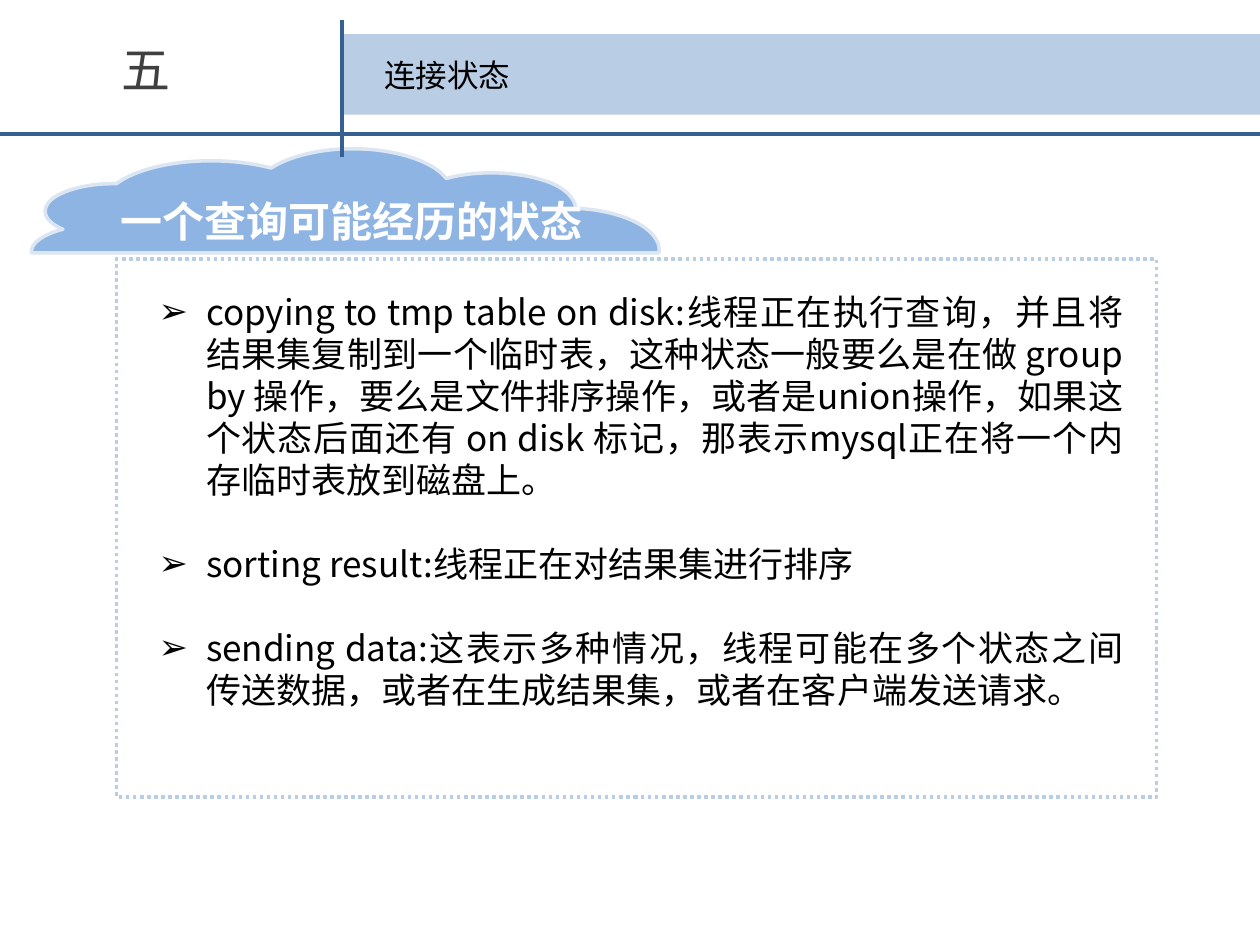
import pptx
import pptx.util
import pptx.dml.color
import pptx.enum.dml
import pptx.enum.shapes
import pptx.enum.text
import pptx.oxml
import pptx.oxml.ns

Pt = pptx.util.Pt
PP_ALIGN = pptx.enum.text.PP_ALIGN
ANCHOR = pptx.enum.text.MSO_ANCHOR
RECTANGLE = pptx.enum.shapes.MSO_SHAPE.RECTANGLE
CJK = "Noto Sans CJK SC"

STATES = [
    "copying to tmp table on disk:线程正在执行查询，并且将结果集复制到一个临时表，这种状态一般要么是在做 group by 操作，要么是文件排序操作，或者是union操作，如果这个状态后面还有 on disk 标记，那表示mysql正在将一个内存临时表放到磁盘上。",
    "sorting result:线程正在对结果集进行排序",
    "sending data:这表示多种情况，线程可能在多个状态之间传送数据，或者在生成结果集，或者在客户端发送请求。",
]

CLOUD_START = (179, 0)
CLOUD_SEGMENTS = [
    [(185, 0), (191, 0), (197, 0.7)],
    [(216, 3), (231, 9), (237, 17)],
    [(255, 12), (278, 13), (294, 18.5)],
    [(304.5, 22), (310.5, 28), (311, 34)],
    [(333.5, 35), (352, 42.5), (357, 52)],
    [(358.5, 54), (359, 57), (358.5, 59.5)],
    [(0, 59.5)],
    [(-0.7, 54), (6.5, 49), (18, 46)],
    [(8.5, 42), (5.5, 36.5), (9.5, 31)],
    [(14.5, 24.5), (31, 19.5), (48.5, 20)],
    [(66, 7), (106, 3), (137, 11)],
    [(147, 4.5), (163, 0.7), (179, 0)],
]


def colour(value):
    return pptx.dml.color.RGBColor.from_string(value)


def add_xml(parent, tag, **attributes):
    element = pptx.oxml.parse_xml(f"<{tag} {pptx.oxml.ns.nsdecls('a')}/>")
    for name, value in attributes.items():
        element.set(name, value)
    parent.append(element)


def place(shape, left, top, width, height):
    shape.left, shape.top = Pt(left), Pt(top)
    shape.width, shape.height = Pt(width), Pt(height)


def format_runs(paragraph, size, fill, font=CJK, bold=False):
    for run in paragraph.runs:
        run.font.size = Pt(size)
        run.font.bold = bold
        run.font.name = font
        run.font.color.rgb = colour(fill)
        add_xml(run.font._element, "a:ea", typeface=CJK)


def write_label(shape, text, size, fill, align, wrap=False, **style):
    frame = shape.text_frame
    frame.text = text
    frame.word_wrap = wrap
    frame.auto_size = pptx.enum.text.MSO_AUTO_SIZE.NONE
    frame.vertical_anchor = ANCHOR.TOP
    frame.paragraphs[0].alignment = align
    format_runs(frame.paragraphs[0], size, fill, **style)
    return frame.paragraphs[0]


def add_rule(slide, x1, y1, x2, y2):
    rule = slide.shapes.add_connector(
        pptx.enum.shapes.MSO_CONNECTOR.STRAIGHT, Pt(x1), Pt(y1), Pt(x2), Pt(y2))
    rule.line.color.rgb = colour("376092")
    rule.line.width = Pt(2.25)
    add_xml(rule._element.spPr, "a:effectLst")


def bend_segments(freeform, segments):
    lines = freeform._element.findall(".//" + pptx.oxml.ns.qn("a:lnTo"))
    for line, points in zip(lines, segments):
        if len(points) == 3:
            curve = pptx.oxml.parse_xml(f"<a:cubicBezTo {pptx.oxml.ns.nsdecls('a')}/>")
            for x, y in points:
                add_xml(curve, "a:pt", x=str(Pt(x)), y=str(Pt(y)))
            line.getparent().replace(line, curve)


def add_cloud(slide, left, top):
    builder = slide.shapes.build_freeform(
        Pt(left + CLOUD_START[0]), Pt(top + CLOUD_START[1]))
    builder.add_line_segments(
        [(Pt(left + x), Pt(top + y)) for *_, (x, y) in CLOUD_SEGMENTS], close=True)
    cloud = builder.convert_to_shape()
    bend_segments(cloud, CLOUD_SEGMENTS)
    cloud.shadow.inherit = False
    cloud.fill.solid()
    cloud.fill.fore_color.rgb = colour("8EB4E3")
    cloud.line.color.rgb = colour("DCE6F2")
    cloud.line.width = Pt(2)


def add_cloud_caption(slide, left, top, width, height):
    caption = slide.shapes.add_textbox(Pt(left), Pt(top), Pt(width), Pt(height))
    paragraph = write_label(caption, "一个查询可能经历的状态", 24, "FFFFFF",
                            PP_ALIGN.CENTER, wrap=True, font="TeX Gyre Adventor", bold=True)
    paragraph.line_spacing = 0.8


def add_header(slide, left, top, width, height):
    divider = left + 195.6
    band = slide.shapes.add_shape(
        RECTANGLE, Pt(divider), Pt(top + 8.2), Pt(left + width - divider), Pt(46))
    band.shadow.inherit = False
    band.fill.solid()
    band.fill.fore_color.rgb = colour("B9CDE5")
    band.line.fill.background()

    number = slide.shapes.add_textbox(Pt(left + 62.3), Pt(top + 7.5), Pt(42.5), Pt(41))
    write_label(number, "五", 28, "404040", PP_ALIGN.LEFT)
    add_rule(slide, divider, top, divider, top + height)
    add_rule(slide, left, top + 65.5, left + width, top + 65.5)

    title = slide.shapes.title
    place(title, left + 212.5, top + 17, 87, 29)
    write_label(title, "连接状态", 18, "000000", PP_ALIGN.LEFT)
    slide.shapes._spTree.append(title._element)


def add_states(slide, left, top, width, height):
    frame_box = slide.shapes.add_shape(RECTANGLE, Pt(left), Pt(top), Pt(width), Pt(height))
    frame_box.shadow.inherit = False
    frame_box.fill.background()
    frame_box.line.color.rgb = colour("B9CDE5")
    frame_box.line.width = Pt(2)
    frame_box.line.dash_style = pptx.enum.dml.MSO_LINE.ROUND_DOT

    body = slide.placeholders[1]
    place(body, left + 16.9, top + 14.5, width - 28.9, height - 14.5)
    slide.shapes._spTree.append(body._element)
    frame = body.text_frame
    frame.text = "\n".join(STATES)
    frame.word_wrap = True
    frame.auto_size = pptx.enum.text.MSO_AUTO_SIZE.NONE
    for index, paragraph in enumerate(frame.paragraphs):
        properties = paragraph._p.get_or_add_pPr()
        properties.set("marL", str(Pt(27)))
        properties.set("indent", str(-Pt(27)))
        add_xml(properties, "a:buFont", typeface="Arial")
        add_xml(properties, "a:buChar", char="➢")
        paragraph.alignment = PP_ALIGN.JUSTIFY
        paragraph.line_spacing = Pt(24)
        paragraph.space_before = Pt(24 if index else 0)
        format_runs(paragraph, 20, "000000")


def main():
    deck = pptx.Presentation()
    deck.slide_width, deck.slide_height = Pt(720), Pt(540)
    slide = deck.slides.add_slide(deck.slide_layouts[1])
    add_cloud(slide, 18, 85)
    add_header(slide, 0, 11.3, 720, 78.5)
    add_states(slide, 66.6, 148, 594.4, 307.5)
    add_cloud_caption(slide, 58.8, 114, 284, 30)
    deck.save("out.pptx")


if __name__ == "__main__":
    main()
